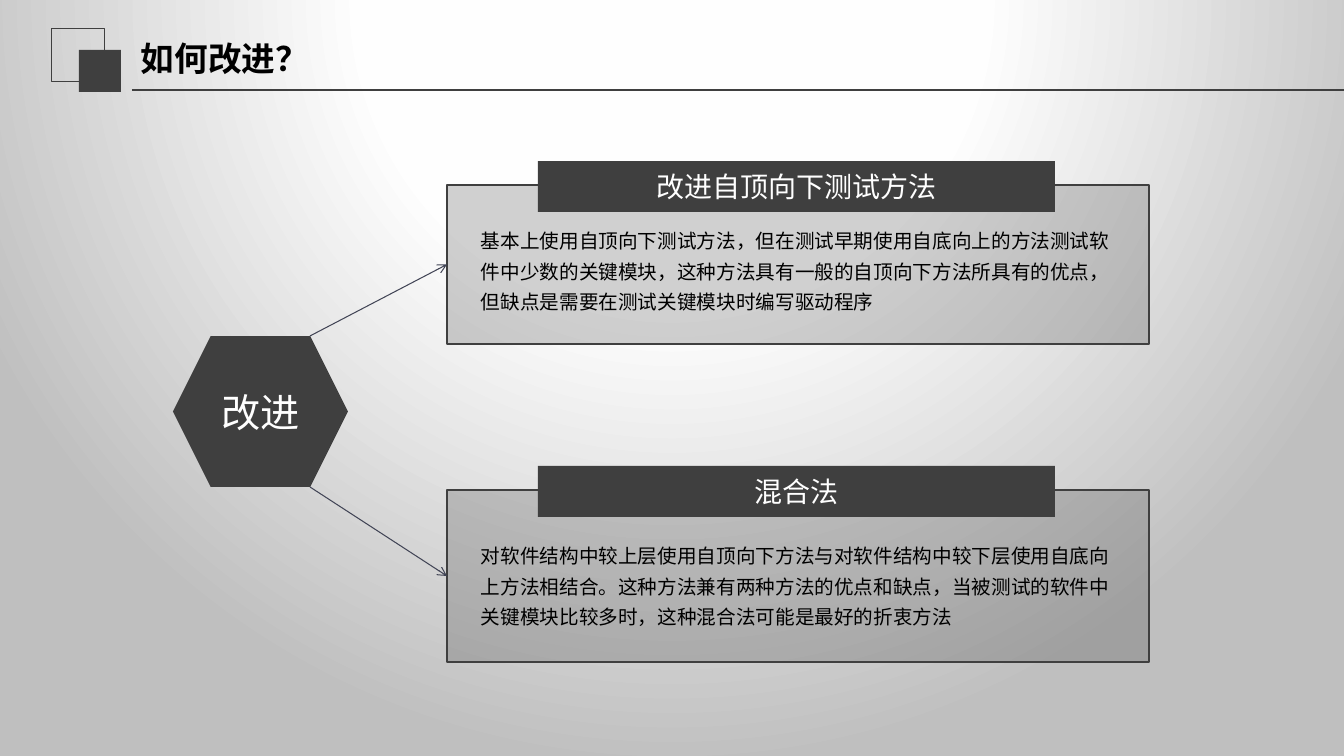
from dataclasses import dataclass

from lxml import etree
from pptx import Presentation
from pptx.dml.color import RGBColor
from pptx.enum.shapes import MSO_CONNECTOR, MSO_SHAPE
from pptx.enum.text import MSO_ANCHOR, PP_ALIGN
from pptx.oxml import parse_xml
from pptx.oxml.ns import nsdecls, qn
from pptx.shapes.autoshape import Shape
from pptx.shapes.connector import Connector
from pptx.slide import Slide
from pptx.util import Pt

RECT, HEXAGON = MSO_SHAPE.RECTANGLE, MSO_SHAPE.HEXAGON
STRAIGHT = MSO_CONNECTOR.STRAIGHT
TOP, MIDDLE = MSO_ANCHOR.TOP, MSO_ANCHOR.MIDDLE
LEFT, CENTER = PP_ALIGN.LEFT, PP_ALIGN.CENTER
LEFT_SIDE = 1

EMU_PER_PX = 914400 / 100.8
CJK_FONT = "Noto Sans CJK SC"
COLORS = {"dark": "3F3F3F", "arrow": "414455", "text": "000000", "white": "FFFFFF"}
BACKGROUND_STOPS = ((0, "FFFFFF"), (40, "FEFEFE"), (100, "BFBFBF"))
TITLE = {"size": 24, "name": "Calibri", "bold": True, "color": "text"}
HEADING = {"size": 20, "name": CJK_FONT, "color": "white"}
HUB = {"size": 28, "name": CJK_FONT, "color": "white"}
BODY = {"size": 14, "name": CJK_FONT, "color": "text"}


@dataclass
class Box:
    x: int
    y: int
    w: int
    h: int


@dataclass
class Method:
    heading: str
    body: str
    panel: Box
    heading_y: int
    body_y: int
    arrow_y: int


METHODS = [
    Method("改进自顶向下测试方法",
           "基本上使用自顶向下测试方法，但在测试早期使用自底向上的方法测试软件中少数的关键模块，"
           "这种方法具有一般的自顶向下方法所具有的优点，但缺点是需要在测试关键模块时编写驱动程序",
           Box(447, 185, 702, 159), 161, 217, 336),
    Method("混合法",
           "对软件结构中较上层使用自顶向下方法与对软件结构中较下层使用自底向上方法相结合。"
           "这种方法兼有两种方法的优点和缺点，当被测试的软件中关键模块比较多时，"
           "这种混合法可能是最好的折衷方法",
           Box(447, 490, 702, 172), 466, 532, 487),
]


def px(n: int) -> int:
    return round(n * EMU_PER_PX)


def place(box: Box) -> tuple[int, ...]:
    return tuple(px(n) for n in (box.x, box.y, box.w, box.h))


def rgb(name: str) -> RGBColor:
    return RGBColor.from_string(COLORS[name])


def set_background(s: Slide) -> None:
    """Fill the slide with a circular gradient centred above its top edge."""
    stops = "".join(f'<a:gs pos="{pos * 1000}"><a:srgbClr val="{color}"/></a:gs>'
                    for pos, color in BACKGROUND_STOPS)
    grad = parse_xml(
        f'<a:gradFill {nsdecls("a")} rotWithShape="1"><a:gsLst>{stops}</a:gsLst>'
        '<a:path path="circle"><a:fillToRect l="50000" t="-80000" r="50000" b="180000"/>'
        '</a:path></a:gradFill>')
    bg = s.element.cSld.get_or_add_bgPr()
    bg.remove(bg[0])
    bg.insert(0, grad)


def write(sp: Shape, text: str, style: dict, anchor: MSO_ANCHOR = MIDDLE,
          align: PP_ALIGN = CENTER, spacing: float = 1.0) -> None:
    tf = sp.text_frame
    tf.word_wrap = True
    tf.vertical_anchor = anchor
    p = tf.paragraphs[0]
    p.alignment, p.line_spacing = align, spacing
    r = p.add_run()
    r.text = text
    for key, value in style.items():
        if key == "color":
            r.font.color.rgb = rgb(value)
        else:
            setattr(r.font, key, Pt(value) if key == "size" else value)
    etree.SubElement(r.font._element, qn("a:ea"), typeface=CJK_FONT)


def add_shape(s: Slide, box: Box, kind: MSO_SHAPE = RECT, fill: str | None = "dark",
              line_width: float = 0, opacity: int = 100) -> Shape:
    sp = s.shapes.add_shape(kind, *place(box))
    sp.shadow.inherit = False
    if fill:
        sp.fill.solid()
        sp.fill.fore_color.rgb = rgb(fill)
        if opacity < 100:
            color = sp.fill._xPr.find(qn("a:solidFill"))[0]
            etree.SubElement(color, qn("a:alpha"), val=str(opacity * 1000))
    else:
        sp.fill.background()
    if line_width:
        sp.line.color.rgb = rgb("dark")
        sp.line.width = Pt(line_width)
    else:
        sp.line.fill.background()
    return sp


def add_line(s: Slide, x1: int, y1: int, x2: int, y2: int, color: str,
             width: float) -> Connector:
    line = s.shapes.add_connector(STRAIGHT, *(px(n) for n in (x1, y1, x2, y2)))
    line.line.color.rgb = rgb(color)
    line.line.width = Pt(width)
    etree.SubElement(line._element.spPr, qn("a:effectLst"))
    return line


def add_text(s: Slide, box: Box, text: str, style: dict, anchor: MSO_ANCHOR,
             spacing: float = 1.0) -> None:
    write(s.shapes.add_textbox(*place(box)), text, style, anchor, LEFT, spacing)


def add_header(s: Slide) -> None:
    add_shape(s, Box(52, 29, 53, 53), fill=None, line_width=0.75)
    add_shape(s, Box(79, 50, 42, 42))
    add_line(s, 132, 90, 1344, 90, "dark", 1.25)
    add_text(s, Box(131, 29, 478, 58), "如何改进？", TITLE, MIDDLE)


def add_method(s: Slide, method: Method) -> None:
    box = method.panel
    panel = add_shape(s, box, line_width=1, opacity=24)
    heading = add_shape(s, Box(538, method.heading_y, 517, 51))
    write(heading, method.heading, HEADING)
    add_text(s, Box(471, method.body_y, 667, 103), method.body, BODY, TOP, 1.3)
    arrow = add_line(s, 310, method.arrow_y, box.x, box.y + box.h // 2, "arrow", 0.75)
    arrow.end_connect(panel, LEFT_SIDE)
    etree.SubElement(arrow.line._get_or_add_ln(), qn("a:tailEnd"), type="arrow")


def main() -> None:
    prs = Presentation()
    prs.slide_width, prs.slide_height = px(1344), px(756)
    s = prs.slides.add_slide(prs.slide_layouts[6])
    set_background(s)
    add_header(s)
    write(add_shape(s, Box(173, 336, 175, 151), HEXAGON), "改进", HUB)
    for method in METHODS:
        add_method(s, method)
    prs.save("out.pptx")


if __name__ == "__main__":
    main()
